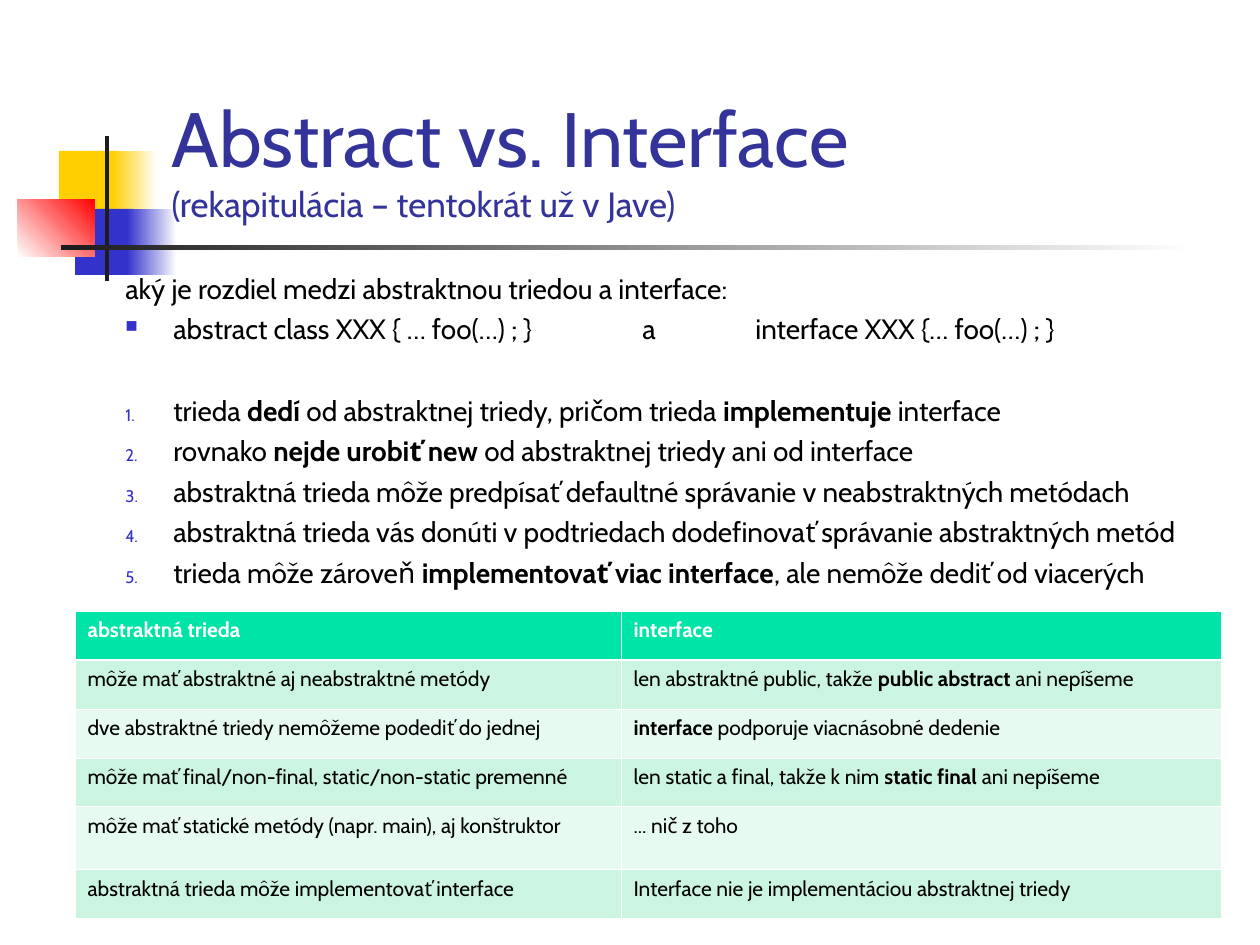
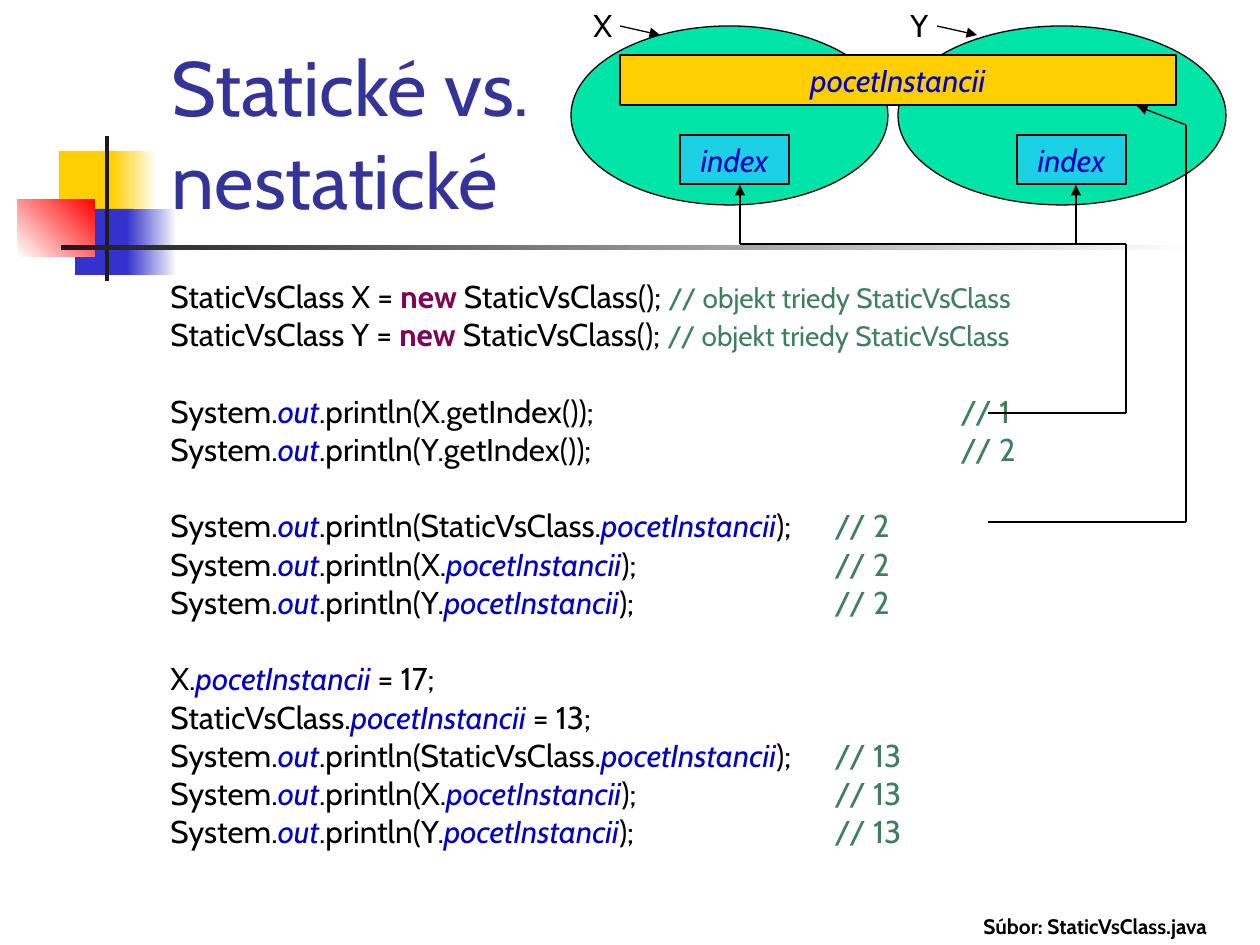
from itertools import pairwise

from lxml.etree import SubElement
from pptx import Presentation
from pptx.dml.color import RGBColor
from pptx.enum.shapes import MSO_CONNECTOR, MSO_SHAPE
from pptx.enum.text import MSO_ANCHOR, MSO_AUTO_SIZE, PP_ALIGN
from pptx.oxml.ns import qn
from pptx.util import Emu, Pt

FONT = "Cabin"
BLACK, WHITE = "000000", "FFFFFF"
YELLOW, BLUE, RED, DARK = "FFCF01", "3333CC", "FF0000", "1C1C1C"
TITLE, GREEN, CYAN = "333399", "00E4A8", "1CD1E4"
ROW_TINTS = "CBF5E1", "E7FAF1"
BOLD = {"bold": True}
FIELD = {"italic": True, "colour": "0000C0"}
COMMENT = {"colour": "3F7F5F"}
CODE_STYLES = {
    "new": {"bold": True, "colour": "7F0055"},
    "out": FIELD,
    "pocetInstancii": FIELD,
    "// objekt triedy StaticVsClass": {**COMMENT, "size": 16},
}

RULES = [
    "trieda *dedí* od abstraktnej triedy, pričom trieda *implementuje* interface",
    "rovnako *nejde urobiť new *od abstraktnej triedy ani od interface",
    "abstraktná trieda môže predpísať defaultné správanie v neabstraktných metódach",
    "abstraktná trieda vás donúti v podtriedach dodefinovať správanie abstraktných metód",
    "trieda môže zároveň *implementovať viac interface*, ale nemôže dediť od viacerých",
]
COMPARISON = [
    ("*abstraktná trieda*", "*interface*"),
    ("môže mať abstraktné aj neabstraktné metódy",
     "len abstraktné public, takže *public abstract* ani nepíšeme"),
    ("dve abstraktné triedy nemôžeme podediť do jednej",
     "*interface* podporuje viacnásobné dedenie"),
    ("môže mať final/non-final, static/non-static premenné",
     "len static a final, takže k nim *static final *ani nepíšeme"),
    ("môže mať statické metódy (napr. main), aj konštruktor", "... nič z toho"),
    ("abstraktná trieda môže implementovať interface",
     "Interface nie je implementáciou abstraktnej triedy"),
]


def px(length):
    return Emu(round(length * 914400 / 126))


def rgb(colour):
    return RGBColor.from_string(colour)


def style(font, size, colour=BLACK, bold=False, italic=False):
    font.name, font.size = FONT, Pt(size)
    font.bold, font.italic = bold, italic
    font.color.rgb = rgb(colour)


def write(paragraph, marked, size, colour=BLACK, styles=None, default=BOLD):
    for index, piece in enumerate(marked.split("*")):
        if piece:
            run = paragraph.add_run()
            run.text = piece
            special = (styles or {}).get(piece, default) if index % 2 else {}
            style(run.font, **{"size": size, "colour": colour, **special})


def add_tabs(paragraph, *stops):
    tabs = SubElement(paragraph._p.get_or_add_pPr(), qn("a:tabLst"))
    for stop in stops:
        SubElement(tabs, qn("a:tab"), pos=str(px(stop)), algn="l")


def add_bullet(paragraph, kind, **attributes):
    properties = paragraph._p.get_or_add_pPr()
    properties.set("marL", str(px(48)))
    properties.set("indent", str(-px(48)))
    colour = SubElement(properties, qn("a:buClr"))
    SubElement(colour, qn("a:srgbClr"), val=BLUE)
    SubElement(properties, qn("a:buSzPct"), val="60000")
    SubElement(properties, qn(kind), **attributes)


def add_text(slide, left, top, width, height, wrap=True):
    box = slide.shapes.add_textbox(px(left), px(top), px(width), px(height))
    box.text_frame.word_wrap = wrap
    return box.text_frame


def add_label(slide, left, top, width, height, text, size, bold=False):
    frame = add_text(slide, left, top, width, height, wrap=False)
    frame.text = text
    style(frame.paragraphs[0].runs[0].font, size, bold=bold)


def add_block(slide, kind, left, top, width, height, fill, end=None, angle=0, outlined=False):
    block = slide.shapes.add_shape(kind, px(left), px(top), px(width), px(height))
    block.shadow.inherit = False
    if end:
        block.fill.gradient()
        block.fill.gradient_angle = angle
        for stop, colour in zip(block.fill.gradient_stops, (fill, end)):
            stop.color.rgb = rgb(colour)
    else:
        block.fill.solid()
        block.fill.fore_color.rgb = rgb(fill)
    if outlined:
        block.line.color.rgb = rgb(BLACK)
        block.line.width = Pt(0.75)
    else:
        block.line.fill.background()
    return block


def add_field(slide, left, top, width, height, name, fill):
    field = add_block(slide, MSO_SHAPE.RECTANGLE, left, top, width, height, fill, outlined=True)
    frame = field.text_frame
    frame.word_wrap = False
    frame.vertical_anchor = MSO_ANCHOR.MIDDLE
    frame.text = name
    frame.paragraphs[0].alignment = PP_ALIGN.CENTER
    style(frame.paragraphs[0].runs[0].font, 18, **FIELD)


def add_path(slide, left, top, points, arrow=True):
    segments = list(pairwise(points))
    for number, ((x1, y1), (x2, y2)) in enumerate(segments, 1):
        segment = slide.shapes.add_connector(
            MSO_CONNECTOR.STRAIGHT, px(left + x1), px(top + y1), px(left + x2), px(top + y2))
        segment.line.color.rgb = rgb(BLACK)
        segment.line.width = Pt(0.75)
        properties = segment.element.spPr
        if arrow and number == len(segments):
            SubElement(properties.find(qn("a:ln")), qn("a:tailEnd"), type="triangle")
        SubElement(properties, qn("a:effectLst"))


def decorate_layout(layout, slide, left, top):
    parts = [
        (41, 15, 60, 66, YELLOW),
        (94, 15, 45, 66, YELLOW, WHITE),
        (57, 73, 58, 66, BLUE),
        (109, 73, 50, 66, BLUE, WHITE),
        (0, 63, 77, 58, WHITE, RED, 45),
        (87, 0, 4, 145, DARK),
        (43, 109, 1134, 5, DARK, WHITE),
    ]
    for number, (x, y, *look) in enumerate(parts, 20):
        part = add_block(slide, MSO_SHAPE.RECTANGLE, left + x, top + y, *look).element
        part.nvSpPr.cNvPr.set("id", str(number))
        layout.shapes.element.append(part)


def set_title(slide, text, sizes):
    title = slide.shapes.title
    title.left, title.top, title.width, title.height = px(159), px(29), px(1074), px(202)
    frame = title.text_frame
    frame.auto_size = MSO_AUTO_SIZE.NONE
    frame.vertical_anchor = MSO_ANCHOR.BOTTOM
    frame.text = text
    frame.paragraphs[0].alignment = PP_ALIGN.LEFT
    for run, size in zip(frame.paragraphs[0].runs, sizes):
        style(run.font, size, TITLE)


def add_rules(slide, left, top, width, height):
    frame = add_text(slide, left, top, width, height)
    write(frame.paragraphs[0], "aký je rozdiel medzi abstraktnou triedou a interface:", 16)
    declarations = frame.add_paragraph()
    declarations.space_before = Pt(4)
    add_bullet(declarations, "a:buChar", char="■")
    add_tabs(declarations, 517, 630)
    write(declarations, "abstract class XXX { … foo(…) ; }\ta\tinterface XXX {… foo(…) ; }", 16)
    for number, rule in enumerate(RULES):
        paragraph = frame.add_paragraph()
        paragraph.space_before = Pt(4 if number else 27.4)
        add_bullet(paragraph, "a:buAutoNum", type="arabicPeriod")
        write(paragraph, rule, 16)


def set_borders(cell, top, bottom):
    properties = cell._tc.get_or_add_tcPr()
    for side, width in (("L", 0.45), ("R", 0.45), ("T", top), ("B", bottom)):
        border = SubElement(properties, qn(f"a:ln{side}"), w=str(Pt(width)))
        SubElement(SubElement(border, qn("a:solidFill")), qn("a:srgbClr"), val=WHITE)


def add_comparison(slide, left, top):
    widths, heights = (546, 600), (49, 49, 49, 49, 63, 49)
    table = slide.shapes.add_table(
        len(heights), len(widths), px(left), px(top), px(sum(widths)), px(sum(heights))).table
    for column, width in zip(table.columns, widths):
        column.width = px(width)
    for number, (height, texts) in enumerate(zip(heights, COMPARISON)):
        table.rows[number].height = px(height)
        for cell, text in zip(table.rows[number].cells, texts):
            set_borders(cell, 1.47 if number == 1 else 0.45, 1.47 if number == 0 else 0.45)
            cell.fill.solid()
            cell.fill.fore_color.rgb = rgb(ROW_TINTS[(number - 1) % 2] if number else GREEN)
            write(cell.text_frame.paragraphs[0], text, 12, BLACK if number else WHITE)


def printed(expression, result, stop=664):
    return f"System.*out*.println({expression});\t*// {result}*", stop


def printed_counts(result):
    return [printed(f"{owner}.*pocetInstancii*", result) for owner in ("StaticVsClass", "X", "Y")]


def add_code(slide, left, top, width, height):
    groups = [
        [(f"StaticVsClass {name} = *new* StaticVsClass(); *// objekt triedy StaticVsClass*", None)
         for name in "XY"],
        [printed(f"{name}.getIndex()", result, 790) for name, result in (("X", 1), ("Y", 2))],
        printed_counts(2),
        [("X.*pocetInstancii* = 17;", None), ("StaticVsClass.*pocetInstancii* = 13;", None),
         *printed_counts(13)],
    ]
    frame = add_text(slide, left, top, width, height)
    for group_number, group in enumerate(groups):
        for line_number, (code, stop) in enumerate(group):
            first = group_number == line_number == 0
            paragraph = frame.paragraphs[0] if first else frame.add_paragraph()
            paragraph.line_spacing = 0.8
            if not first:
                paragraph.space_before = Pt(4.5 if line_number or not group_number else 26.5)
            if stop:
                add_tabs(paragraph, stop)
            write(paragraph, code, 18, styles=CODE_STYLES, default=COMMENT)


def add_objects(slide, left, top):
    for x, width in ((0, 317), (327, 328)):
        add_block(slide, MSO_SHAPE.OVAL, left + x, top + 26, width, 179, GREEN, outlined=True)
    add_field(slide, left + 49, top + 55, 556, 50, "pocetInstancii", YELLOW)
    for x in (109, 446):
        add_field(slide, left + x, top + 135, 109, 49, "index", CYAN)
    for name, x in (("X", 10), ("Y", 327)):
        add_label(slide, left + x, top, 44, 50, name, 18)
    for x in (49, 366):
        add_path(slide, left, top, [(x, 26), (x + 40, 35)])
    add_path(slide, left, top, [(417, 413), (555, 413), (555, 244), (169, 244), (169, 185)])
    add_path(slide, left, top, [(505, 244), (505, 185)])
    add_path(slide, left, top, [(417, 522), (615, 522), (615, 125), (566, 106)])


def build_comparison_slide(slide):
    set_title(slide, "Abstract vs. Interface\v(rekapitulácia – tentokrát už v Jave)", (44, 20))
    add_rules(slide, 113, 265, 1147, 645)
    add_comparison(slide, 75, 611)


def build_static_slide(slide):
    set_title(slide, "Statické vs.\vnestatické", (44, 44))
    add_code(slide, 158, 278, 1076, 611)
    add_objects(slide, 571, 0)
    add_label(slide, 971, 907, 285, 38, "Súbor: StaticVsClass.java", 12, bold=True)


def main():
    deck = Presentation()
    deck.slide_width, deck.slide_height = px(1260), px(945)
    layout = deck.slide_layouts.get_by_name("Title Only")
    comparison, static = (deck.slides.add_slide(layout) for _ in range(2))
    decorate_layout(layout, comparison, 18, 136)
    build_comparison_slide(comparison)
    build_static_slide(static)
    deck.save("out.pptx")


if __name__ == "__main__":
    main()
